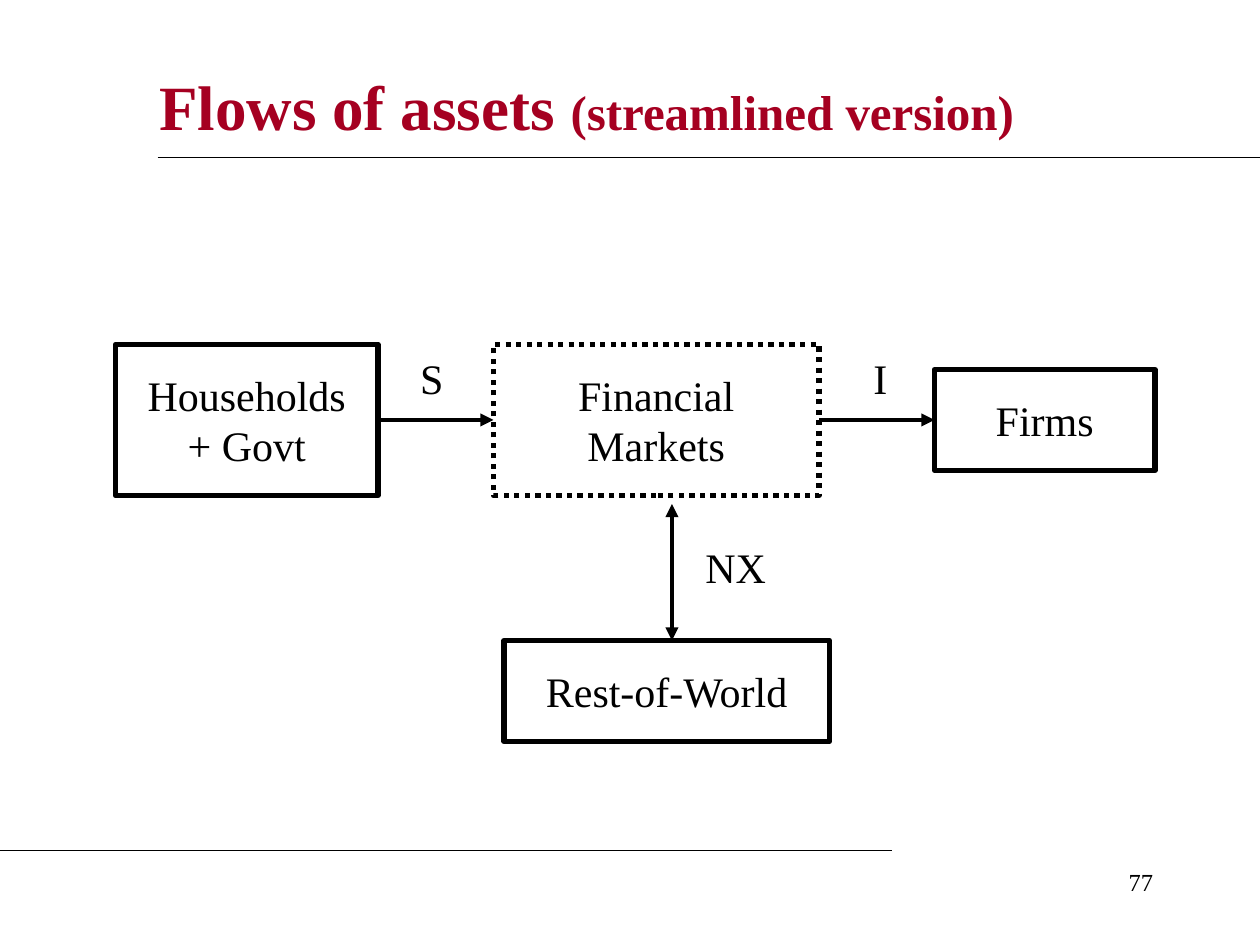
import pptx
import pptx.dml.color
import pptx.enum.dml
import pptx.enum.shapes
import pptx.enum.text
import pptx.oxml.ns
import pptx.util
from lxml import etree

Pt = pptx.util.Pt
ALIGN = pptx.enum.text.PP_ALIGN
ANCHOR = pptx.enum.text.MSO_ANCHOR
BLACK = pptx.dml.color.RGBColor(0x00, 0x00, 0x00)
CRIMSON = pptx.dml.color.RGBColor(0xA5, 0x00, 0x21)
FONT = "Times New Roman"
TOP, LEFT, BOTTOM, RIGHT = range(4)
FLOW_Y = 240  # shared centre line of the upper row


def add_run(paragraph, text, size=24, color=BLACK, bold=False):
    run = paragraph.add_run()
    run.text = text
    run.font.name = FONT
    run.font.size = Pt(size)
    run.font.bold = bold
    run.font.color.rgb = color


def write_text(shape, text, align=ALIGN.LEFT, anchor=ANCHOR.TOP, inset=None, **font):
    """Write text into a shape, with one run format and line breaks at newlines."""
    frame = shape.text_frame
    frame.word_wrap = True
    frame.vertical_anchor = anchor
    if inset is not None:
        frame.margin_left = frame.margin_right = Pt(inset)
        frame.margin_top = frame.margin_bottom = Pt(inset)
    paragraph = frame.paragraphs[0]
    paragraph.alignment = align
    for index, line in enumerate(text.split("\n")):
        if index:
            paragraph.add_line_break()
        add_run(paragraph, line, **font)
    return paragraph


def add_label(slide, text, left, top, width, height=36, **text_format):
    label = slide.shapes.add_textbox(Pt(left), Pt(top), Pt(width), Pt(height))
    return write_text(label, text, **text_format)


def add_sector(slide, text, left, top, width, height, dash=None):
    """Outlined box for one sector of the economy."""
    sector = slide.shapes.add_shape(
        pptx.enum.shapes.MSO_SHAPE.RECTANGLE, Pt(left), Pt(top), Pt(width), Pt(height))
    sector.shadow.inherit = False
    sector.fill.background()
    sector.line.color.rgb = BLACK
    sector.line.width = Pt(3)
    if dash is not None:
        sector.line.dash_style = dash
    write_text(sector, text, align=ALIGN.CENTER, anchor=ANCHOR.MIDDLE, inset=14.4)
    return sector


def add_line(slide, start=(0, 0), end=(0, 0), width=0.75, arrowheads=()):
    line = slide.shapes.add_connector(
        pptx.enum.shapes.MSO_CONNECTOR.STRAIGHT, *(Pt(value) for value in (*start, *end)))
    line.line.color.rgb = BLACK
    line.line.width = Pt(width)
    outline = line.line._get_or_add_ln()
    for arrowhead in arrowheads:
        etree.SubElement(outline, pptx.oxml.ns.qn(f"a:{arrowhead}"), type="triangle")
    etree.SubElement(line._element.spPr, pptx.oxml.ns.qn("a:effectLst"))
    return line


def add_flow(slide, source, target):
    """Arrow from the right side of one sector to the left side of the next."""
    flow = add_line(slide, width=2.5, arrowheads=["tailEnd"])
    flow.begin_connect(source, RIGHT)
    flow.end_connect(target, LEFT)


def main():
    presentation = pptx.Presentation()
    presentation.slide_width, presentation.slide_height = Pt(720), Pt(540)
    slide = presentation.slides.add_slide(presentation.slide_layouts[6])

    # Title, rules and page number
    title = add_label(slide, "Flows of assets ", 84, 30, 582, 60, anchor=ANCHOR.MIDDLE,
                      size=36, color=CRIMSON, bold=True)
    add_run(title, "(streamlined version)", size=28, color=CRIMSON, bold=True)
    add_line(slide, (90, 90), (720, 90))
    add_line(slide, (0, 486), (510, 486))
    add_label(slide, "77", 516, 492, 150, align=ALIGN.RIGHT, size=14)

    # Sectors
    tall, short = 86.4, 57.6
    households = add_sector(slide, "Households\n+ Govt", 66, FLOW_Y - tall / 2, 150, tall)
    markets = add_sector(slide, "Financial\nMarkets", 282, FLOW_Y - tall / 2, 186, tall,
                         dash=pptx.enum.dml.MSO_LINE.ROUND_DOT)
    firms = add_sector(slide, "Firms", 534, FLOW_Y - short / 2, 126, short)
    add_sector(slide, "Rest-of-World", 288, 366, 186, short)

    # Flows between sectors
    add_flow(slide, households, markets)
    add_flow(slide, markets, firms)
    add_line(slide, (384, 288), (384, 366), width=2.5, arrowheads=["headEnd", "tailEnd"])

    # Flow labels
    for text, left, top, width in (("S", 233, 198, 30), ("NX", 396, 306, 54),
                                   ("I", 492, 198, 30)):
        add_label(slide, text, left, top, width)

    presentation.save("out.pptx")


if __name__ == "__main__":
    main()
